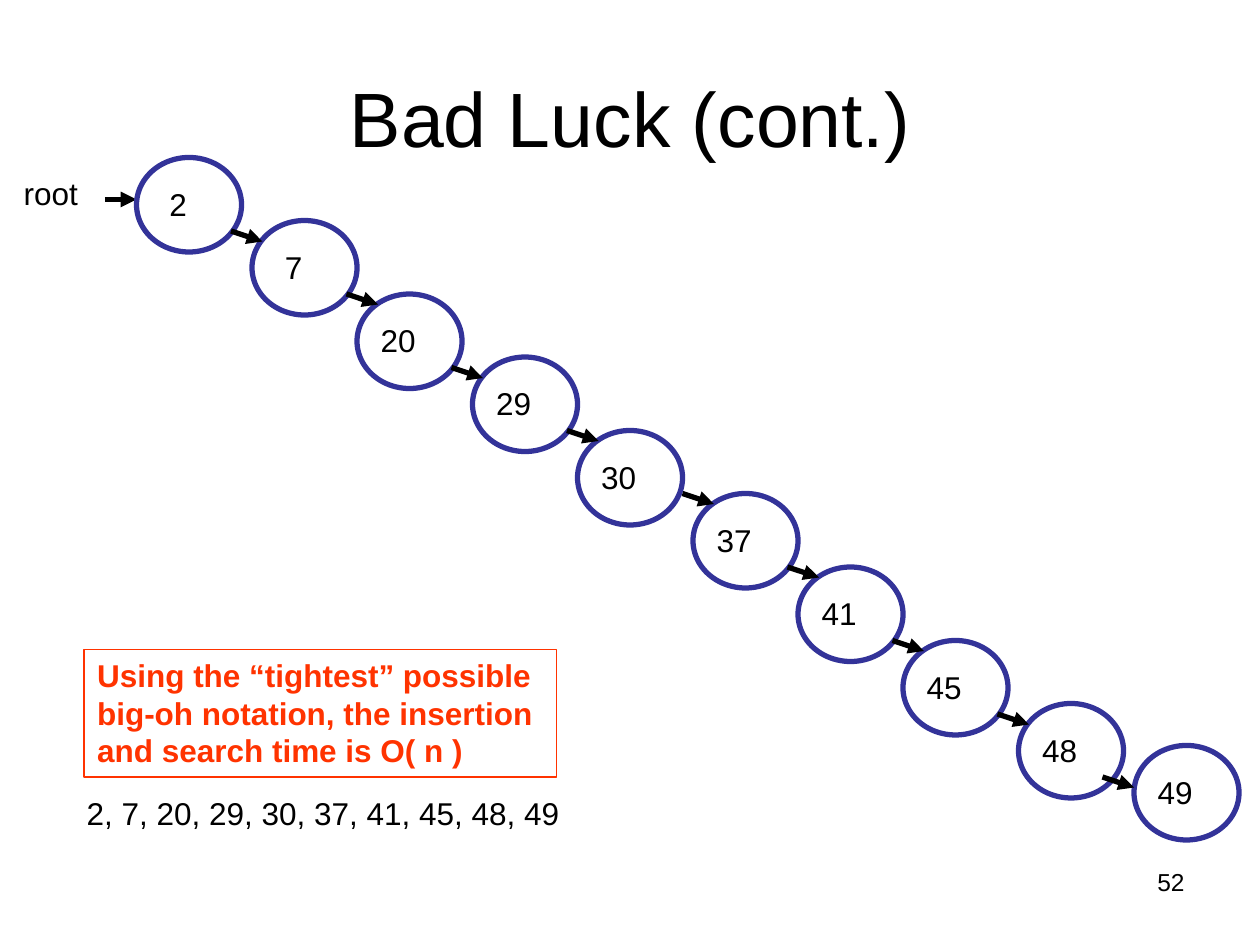
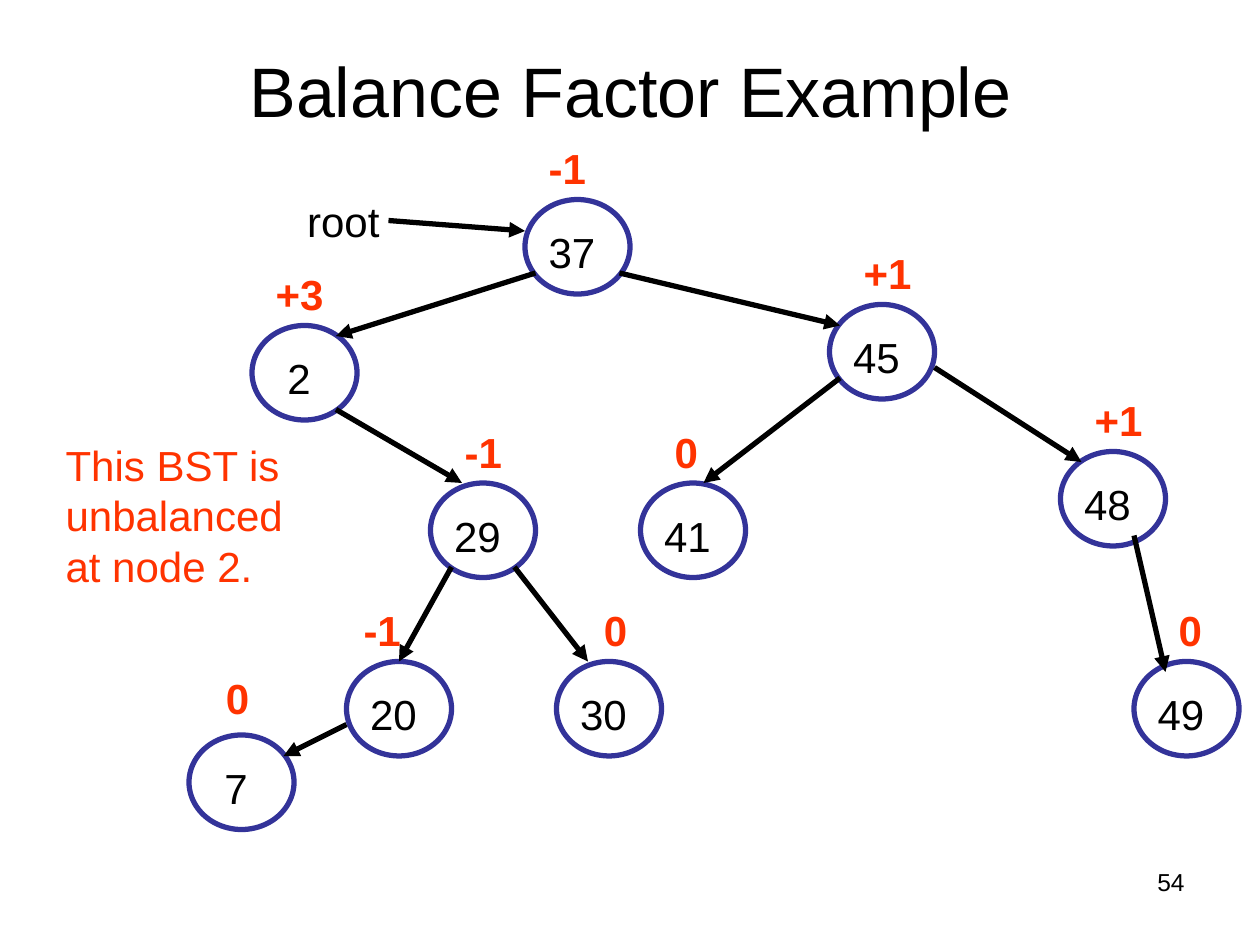
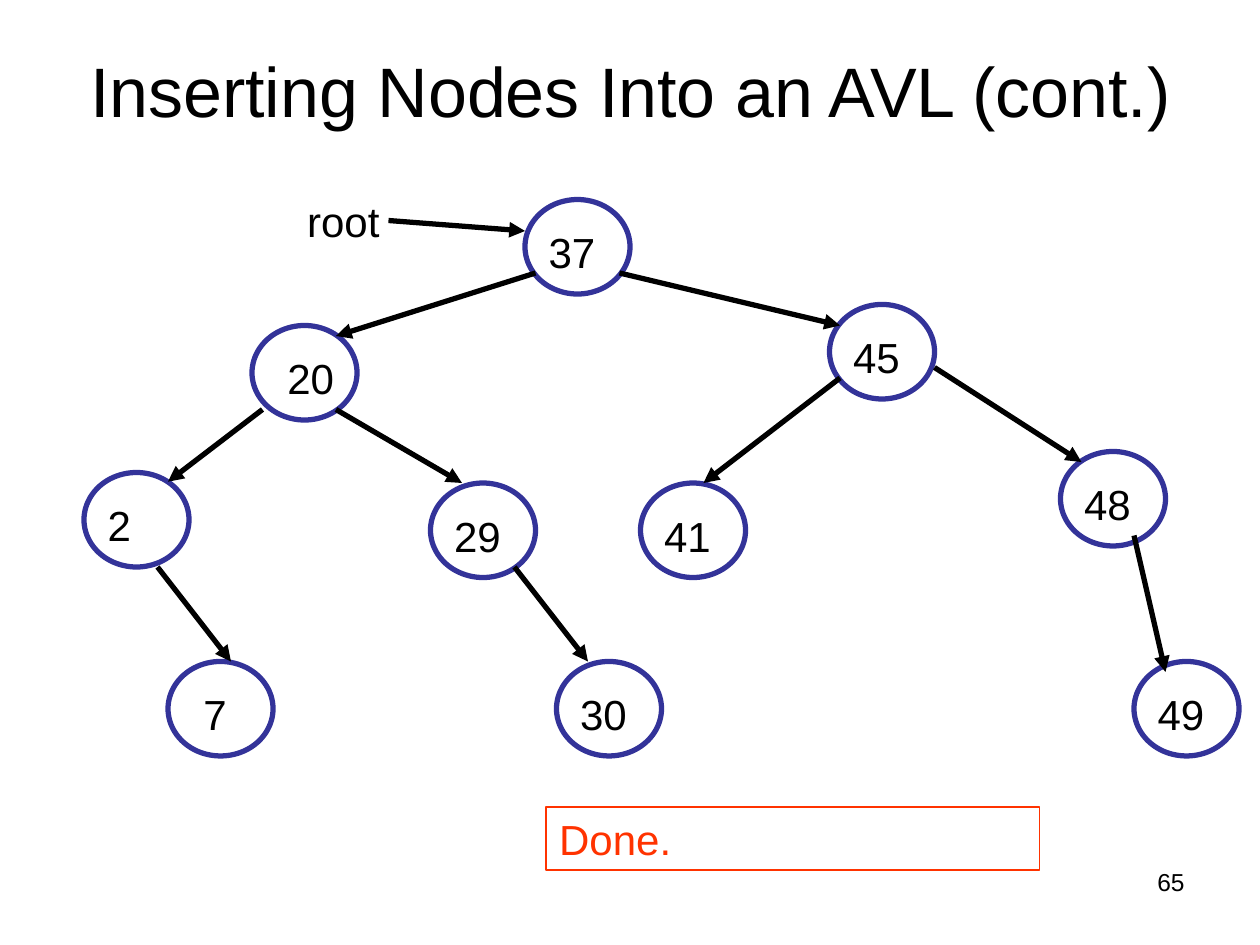
from itertools import pairwise

from lxml.etree import SubElement
from pptx import Presentation
from pptx.dml.color import RGBColor
from pptx.enum.shapes import MSO_CONNECTOR, MSO_SHAPE
from pptx.enum.text import MSO_ANCHOR, PP_ALIGN
from pptx.oxml.ns import qn
from pptx.util import Emu, Pt

PX = 9525  # 96 px to the inch
SLIDE_WIDTH, SLIDE_HEIGHT = 960, 720
NODE_WIDTH, NODE_HEIGHT = 80, 72
LABEL_WIDTH, LABEL_HEIGHT = 104, 48
LABEL_LIMIT = 928  # right limit of node labels
MARGIN = 10
FONT = "Arial"
COLORS = {"text": "000000", "accent": "FF3300", "node": "333399", "white": "FFFFFF"}

# Linked list: node value -> place in its region
CHAIN_NODES = {
    "2": (96, 0), "7": (184, 48), "20": (264, 104), "29": (352, 152),
    "30": (432, 208), "37": (520, 256), "41": (600, 312), "45": (680, 368),
    "48": (768, 416), "49": (856, 448),
}
CHAIN_EXIT = (72, 56)
CHAIN_EXITS = {"30": (80, 48), "48": (64, 56)}

# Tree parts that both tree slides share
TREE_NODES = {
    "37": (400, 0), "45": (632, 80), "48": (808, 192), "41": (488, 216),
    "29": (328, 216), "30": (424, 352), "49": (864, 352),
}
# Parent, exit point on it, child, entry point on it
TREE_EDGES = [
    ("37", (72, 56), "45", (8, 16)),
    ("45", (80, 48), "48", (16, 8)),
    ("45", (8, 56), "41", (48, 0)),
    ("29", (64, 64), "30", (24, 0)),
    ("48", (56, 64), "49", (24, 8)),
]
LEFT_CHILD = (192, 96)
TREE_BOX = (0, 152)

# Balance factor and its offset from the node
BALANCE_FACTORS = {
    "37": ("-1", 8, -48), "2": ("+3", 8, -48), "45": ("+1", 16, -48),
    "48": ("+1", 16, -48), "29": ("-1", 16, -48), "41": ("0", 16, -48),
    "20": ("-1", 3, -48), "30": ("0", 26, -48), "49": ("0", 24, -48),
    "7": ("0", 18, -52),
}
FACTOR_WIDTHS = {"0": 37, "-": 48, "+": 57}


def color(name):
    return RGBColor.from_string(COLORS[name])


def emu(*lengths):
    return [Emu(round(length * PX)) for length in lengths]


def shift(origin, offset):
    return origin[0] + offset[0], origin[1] + offset[1]


def write(shape, text, size, ink="text", bold=False, align=PP_ALIGN.LEFT,
          anchor=MSO_ANCHOR.TOP, wrap=True, indent=0):
    frame = shape.text_frame
    frame.word_wrap = wrap
    frame.vertical_anchor = anchor
    frame.margin_left = emu(MARGIN + indent)[0]
    frame.text = text
    paragraph = frame.paragraphs[0]
    paragraph.alignment = align
    font = paragraph.runs[0].font
    font.name, font.size, font.bold = FONT, Pt(size), bold
    font.color.rgb = color(ink)


def add_text(slide, box, text, size, **style):
    write(slide.shapes.add_textbox(*emu(*box)), text, size, **style)


def add_outline(slide, kind, box, ink, weight):
    shape = slide.shapes.add_shape(kind, *emu(*box))
    shape.shadow.inherit = False
    shape.fill.background()
    shape.line.color.rgb = color(ink)
    shape.line.width = Pt(weight)
    return shape


def add_note(slide, box, text, size, bold=False, fill=None):
    note = add_outline(slide, MSO_SHAPE.RECTANGLE, box, "accent", 0.75)
    if fill:
        note.fill.solid()
        note.fill.fore_color.rgb = color(fill)
    write(note, text, size, ink="accent", bold=bold)


def add_arrow(slide, start, end):
    arrow = slide.shapes.add_connector(MSO_CONNECTOR.STRAIGHT, *emu(*start, *end))
    arrow.line.color.rgb = color("text")
    arrow.line.width = Pt(3)
    SubElement(arrow.line._get_or_add_ln(), qn("a:tailEnd"), type="triangle")
    SubElement(arrow._element.spPr, qn("a:effectLst"))


def add_node(slide, place, value, size, indented):
    add_outline(slide, MSO_SHAPE.OVAL, (*place, NODE_WIDTH, NODE_HEIGHT), "node", 3)
    left, top = shift(place, (8, 16))
    width = min(LABEL_WIDTH, LABEL_LIMIT - left)
    add_text(slide, (left, top, width, LABEL_HEIGHT), value, size,
             indent=round(size * 0.37) if indented else 0)


def add_base(presentation, title, title_top, title_size, number):
    """Blank slide with its title and page number."""
    slide = presentation.slides.add_slide(presentation.slide_layouts[6])
    add_text(slide, (688, 656, 224, 50), number, 14, align=PP_ALIGN.RIGHT)
    add_text(slide, (48, title_top, 864, 120), title, title_size,
             align=PP_ALIGN.CENTER, anchor=MSO_ANCHOR.MIDDLE)
    return slide


def add_chain(slide, origin):
    """Degenerate tree running down to the right."""
    add_text(slide, (*shift(origin, (0, 8)), 176, 48), "root", 18)
    add_arrow(slide, shift(origin, (72, 32)), shift(origin, (96, 32)))
    for value, offset in CHAIN_NODES.items():
        add_node(slide, shift(origin, offset), value, 18, len(value) == 1)
    for value, _ in pairwise(CHAIN_NODES):
        node = shift(origin, CHAIN_NODES[value])
        start = shift(node, CHAIN_EXITS.get(value, CHAIN_EXIT))
        add_arrow(slide, start, shift(start, (24, 8)))


def add_tree(slide, origin, own_nodes, own_edges, indented):
    """Tree with a root pointer; returns the place of each node."""
    nodes = {value: shift(origin, offset)
             for value, offset in (TREE_NODES | own_nodes).items()}
    add_text(slide, (*shift(origin, (224, -8)), 176, 48), "root", 24)
    add_arrow(slide, shift(origin, (296, 16)), shift(origin, (400, 24)))
    for value, place in nodes.items():
        add_node(slide, place, value, 24, value in indented)
    for parent, leave, child, enter in TREE_EDGES + own_edges:
        add_arrow(slide, shift(nodes[parent], leave), shift(nodes[child], enter))
    return nodes


def left_edges(value):
    """Edges into and out of the root's left child."""
    return [("37", (8, 56), value, (64, 8)), (value, (64, 64), "29", (24, 0))]


def build_bad_luck(presentation):
    slide = add_base(presentation, "Bad Luck (cont.)", 29, 44, "52")
    add_chain(slide, (8, 120))
    add_text(slide, (56, 600, 824, 48), ", ".join(CHAIN_NODES), 18)
    add_note(slide, (64, 495, 360, 97),
             "Using the “tightest” possible big-oh notation, "
             "the insertion and search time is O( n )", 18, bold=True)


def build_balance_factors(presentation):
    slide = add_base(presentation, "Balance Factor Example", 8, 40, "54")
    own_nodes = {"2": LEFT_CHILD, "20": (264, 352), "7": (144, 408)}
    own_edges = left_edges("2") + [
        ("29", (16, 64), "20", (40, 0)),
        ("20", (0, 48), "7", (72, 16)),
    ]
    nodes = add_tree(slide, TREE_BOX, own_nodes, own_edges, {"2", "7"})
    for value, (factor, *offset) in BALANCE_FACTORS.items():
        box = (*shift(nodes[value], offset), FACTOR_WIDTHS[factor[0]], 48)
        add_text(slide, box, factor, 24, ink="accent", bold=True, wrap=False)
    add_text(slide, (40, 330, 192, 126), "This BST is unbalanced at node 2.", 24,
             ink="accent")


def build_avl_insertion(presentation):
    slide = add_base(presentation, "Inserting Nodes Into an AVL (cont.)", 8, 40, "65")
    own_nodes = {"20": LEFT_CHILD, "2": (64, 208), "7": (128, 352)}
    own_edges = left_edges("20") + [
        ("20", (8, 64), "2", (64, 7)),
        ("2", (56, 72), "7", (48, 0)),
    ]
    add_tree(slide, TREE_BOX, own_nodes, own_edges, {"20", "7"})
    add_note(slide, (416, 615, 376, 48), "Done.", 24, fill="white")


def main():
    presentation = Presentation()
    presentation.slide_width, presentation.slide_height = emu(SLIDE_WIDTH, SLIDE_HEIGHT)
    build_bad_luck(presentation)
    build_balance_factors(presentation)
    build_avl_insertion(presentation)
    presentation.save("out.pptx")


if __name__ == "__main__":
    main()
